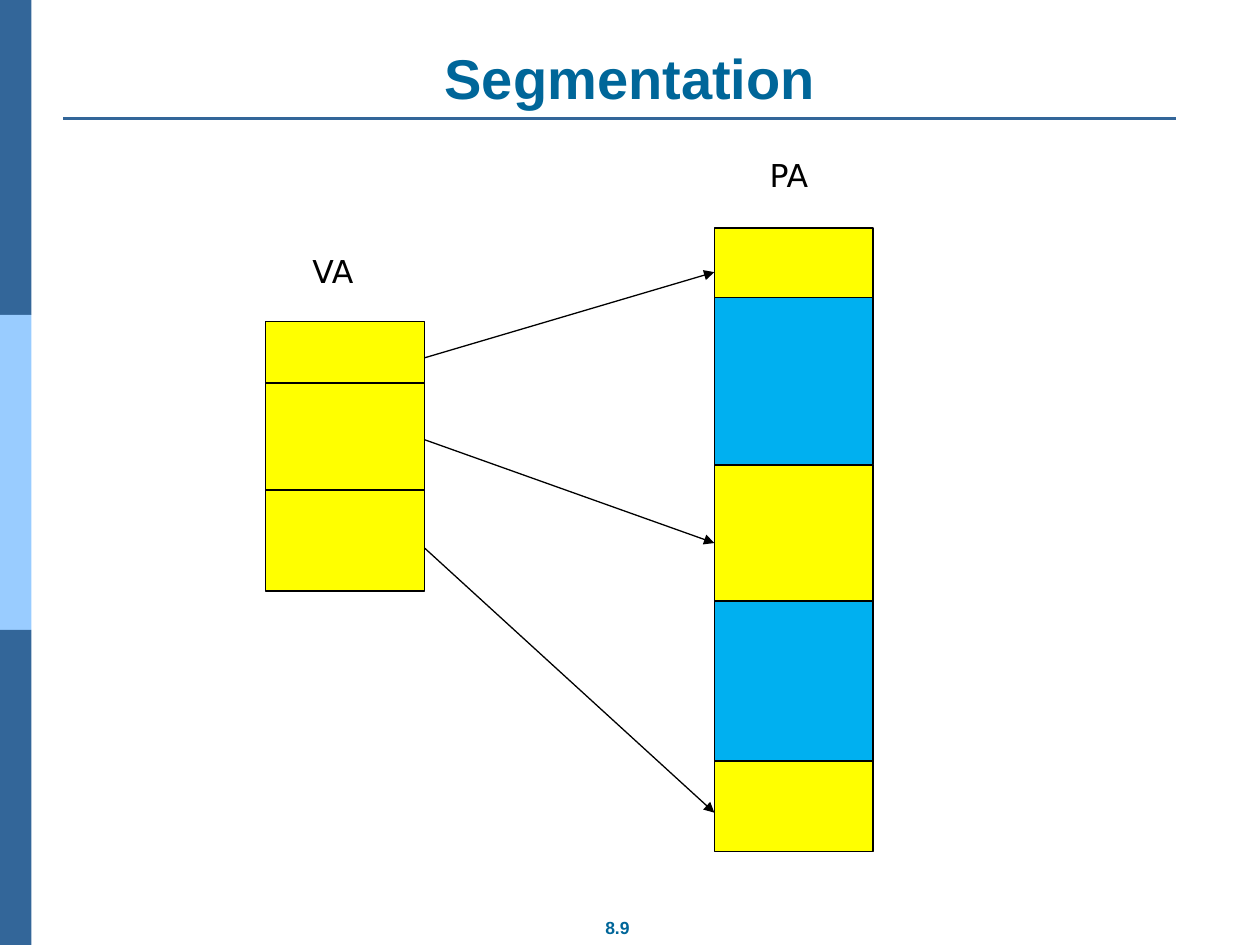
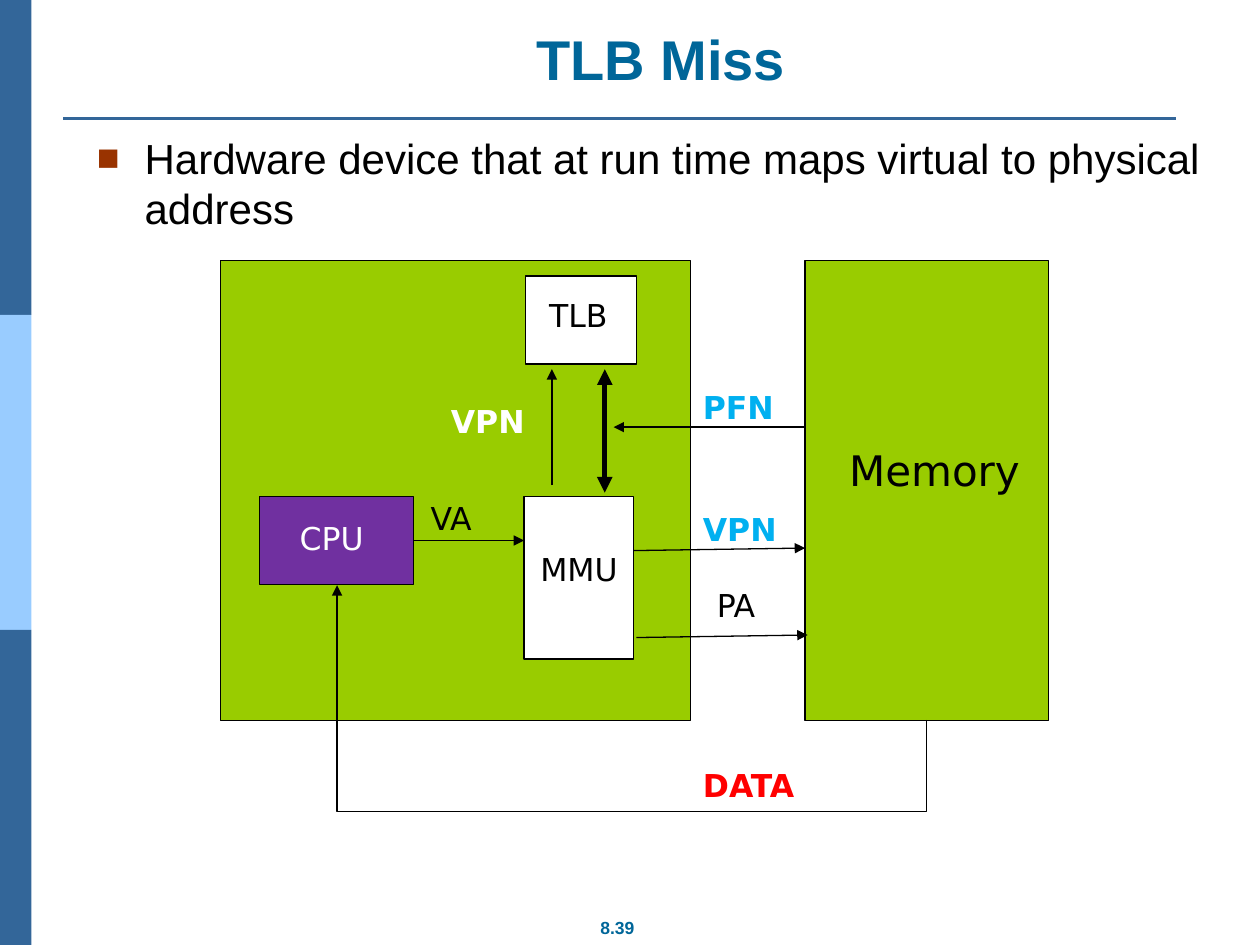
from dataclasses import dataclass

from lxml import etree
from pptx import Presentation
from pptx.dml.color import RGBColor
from pptx.enum.shapes import MSO_CONNECTOR, MSO_SHAPE
from pptx.enum.text import MSO_ANCHOR, MSO_AUTO_SIZE, PP_ALIGN
from pptx.oxml.ns import qn
from pptx.util import Inches, Pt

RECTANGLE = MSO_SHAPE.RECTANGLE
STRAIGHT, ELBOW = MSO_CONNECTOR.STRAIGHT, MSO_CONNECTOR.ELBOW
LEFT, CENTER = PP_ALIGN.LEFT, PP_ALIGN.CENTER
BOTTOM, NO_AUTOFIT = MSO_ANCHOR.BOTTOM, MSO_AUTO_SIZE.NONE
TITLE_ONLY = 5


@dataclass(frozen=True)
class Theme:
    heading_font: str = "Arial"
    label_font: str = "DejaVu Sans"
    title_size: int = 32
    body_size: int = 24
    label_size: int = 18
    footer_size: int = 10
    thin: float = 0.75
    rule: float = 1.5
    thick: float = 3
    title: str = "006699"
    rail: str = "336699"
    rail_light: str = "99CCFF"
    bullet: str = "993300"
    black: str = "000000"
    white: str = "FFFFFF"
    gray: str = "BFBFBF"
    yellow: str = "FFFF00"
    blue: str = "00B0F0"
    green: str = "99CC00"
    purple: str = "7030A0"
    red: str = "FF0000"


theme = Theme()


def add_text(slide, box, text, size, color, bold=False, font=theme.label_font, align=LEFT):
    shape = slide.shapes.add_textbox(*map(Inches, box))
    shape.text_frame.word_wrap = True
    shape.text_frame.text = text
    paragraph = shape.text_frame.paragraphs[0]
    paragraph.alignment = align
    run_font = paragraph.runs[0].font
    run_font.name, run_font.size, run_font.bold = font, Pt(size), bold
    run_font.color.rgb = RGBColor.from_string(color)
    return paragraph


def add_line(slide, points, color=theme.black, width=theme.thin, ends=(), kind=STRAIGHT):
    connector = slide.shapes.add_connector(kind, *map(Inches, points))
    connector.line.color.rgb = RGBColor.from_string(color)
    connector.line.width = Pt(width)
    line_xml = connector.line._get_or_add_ln()
    for end in ends:
        etree.SubElement(line_xml, qn(f"a:{end}"), type="triangle")
    etree.SubElement(connector._element.spPr, qn("a:effectLst"))
    return connector


# Segmentation: address spaces share one column width
COLUMN = 1.26
VIRTUAL_LEFT, PHYSICAL_LEFT = 2.11, 5.67
VIRTUAL_RIGHT = VIRTUAL_LEFT + COLUMN
segmentation_boxes = [
    (PHYSICAL_LEFT, 1.87, COLUMN, 4.88, theme.gray, theme.blue),
    (VIRTUAL_LEFT, 2.55, COLUMN, 2.14, theme.yellow, theme.black),
]
physical_blocks = [
    (2.36, 1.33, theme.blue), (4.74, 1.33, theme.blue),
    (1.81, 0.55, theme.yellow), (3.69, 1.08, theme.yellow), (6.04, 0.72, theme.yellow),
]
for top, height, fill in physical_blocks:
    segmentation_boxes.append((PHYSICAL_LEFT, top, COLUMN, height, fill, theme.black))

segmentation_lines = []
for divider in (3.04, 3.89):
    segmentation_lines.append(((VIRTUAL_LEFT, divider, VIRTUAL_RIGHT, divider), theme.thin, ()))
for start, end in ((2.84, 2.16), (3.49, 4.31), (4.35, 6.45)):
    segmentation_lines.append(
        ((VIRTUAL_RIGHT, start, PHYSICAL_LEFT, end), theme.thin, ("tailEnd",)))

segmentation_labels = [
    ("VA", 2.38, 1.95, theme.label_size, theme.black, False),
    ("PA", 6.01, 1.19, theme.label_size, theme.black, False),
]

# TLB miss: processor, memory and the signals between them
tlb_boxes = [
    (1.75, 2.07, 3.73, 3.65, theme.green, theme.black),
    (2.06, 3.94, 1.22, 0.7, theme.purple, theme.black),
    (4.16, 3.94, 0.87, 1.29, theme.white, theme.black),
    (6.39, 2.07, 1.93, 3.65, theme.green, theme.black),
    (4.17, 2.19, 0.88, 0.7, theme.white, theme.black),
]
tlb_lines = [
    ((3.28, 4.29, 4.16, 4.29), theme.thin, ("tailEnd",)),
    ((5.05, 5.06, 6.41, 5.04), theme.thin, ("tailEnd",)),
    ((4.38, 3.85, 4.38, 2.93), theme.thin, ("tailEnd",)),
    ((5.03, 4.37, 6.39, 4.35), theme.thin, ("tailEnd",)),
    ((6.38, 3.39, 4.87, 3.39), theme.thin, ("tailEnd",)),
    ((4.8, 2.93, 4.8, 3.91), theme.thick, ("headEnd", "tailEnd")),
]
tlb_labels = [
    ("CPU", 2.28, 4.07, theme.label_size, theme.white, False),
    ("MMU", 4.19, 4.32, theme.label_size, theme.black, False),
    ("Memory", 6.64, 3.48, theme.body_size, theme.black, False),
    ("VA", 3.32, 3.91, theme.label_size, theme.black, False),
    ("DATA", 5.48, 6.03, theme.label_size, theme.red, True),
    ("PA", 5.59, 4.6, theme.label_size, theme.black, False),
    ("TLB", 4.26, 2.3, theme.label_size, theme.black, False),
    ("VPN", 3.48, 3.14, theme.label_size, theme.white, True),
    ("VPN", 5.48, 4, theme.label_size, theme.blue, True),
    ("PFN", 5.48, 3.03, theme.label_size, theme.blue, True),
]

pages = [
    ("Segmentation", (0.5, 0.3, 9, 0.63), "8.9",
     segmentation_boxes, segmentation_lines, segmentation_labels),
    ("TLB Miss", (0.96, 0.15, 8.57, 0.63), "8.39", tlb_boxes, tlb_lines, tlb_labels),
]
side_rail = [
    (0, 2.5 * index, 0.25, 2.5, fill, None)
    for index, fill in enumerate((theme.rail, theme.rail_light, theme.rail))
]

presentation = Presentation()
presentation.slide_width, presentation.slide_height = Inches(10), Inches(7.5)

for title_text, title_box, number, boxes, lines, labels in pages:
    slide = presentation.slides.add_slide(presentation.slide_layouts[TITLE_ONLY])

    # Title, rule and footer
    title = slide.shapes.title
    title.left, title.top, title.width, title.height = map(Inches, title_box)
    title.text_frame.text = title_text
    title.text_frame.auto_size = NO_AUTOFIT
    title.text_frame.vertical_anchor = BOTTOM
    paragraph = title.text_frame.paragraphs[0]
    paragraph.alignment = CENTER
    title_font = paragraph.runs[0].font
    title_font.name, title_font.size, title_font.bold = theme.heading_font, Pt(theme.title_size), True
    title_font.color.rgb = RGBColor.from_string(theme.title)
    add_line(slide, (0.5, 0.94, 9.33, 0.94), theme.rail, theme.rule)
    add_text(slide, (4.41, 7.23, 0.98, 0.27), number, theme.footer_size, theme.title,
             True, theme.heading_font, CENTER)

    # Side rail and diagram
    for left, top, width, height, fill, outline in side_rail + boxes:
        shape = slide.shapes.add_shape(RECTANGLE, *map(Inches, (left, top, width, height)))
        shape.shadow.inherit = False
        shape.fill.solid()
        shape.fill.fore_color.rgb = RGBColor.from_string(fill)
        if outline:
            shape.line.color.rgb = RGBColor.from_string(outline)
            shape.line.width = Pt(theme.thin)
        else:
            shape.line.fill.background()
    for points, width, ends in lines:
        add_line(slide, points, width=width, ends=ends)
    for text, left, top, size, color, bold in labels:
        box_width, box_height = (1.78, 0.5) if size == theme.body_size else (1.22, 0.4)
        add_text(slide, (left, top, box_width, box_height), text, size, color, bold)

# Data path from memory back to the CPU, on the last slide
data_path = add_line(slide, (4.48, 7.52, 5.55, 2.84), ends=("tailEnd",), kind=ELBOW)
data_path._element.spPr.find(qn("a:xfrm")).set("rot", str(270 * 60000))
adjustments = data_path._element.spPr.find(qn("a:prstGeom")).get_or_add_avLst()
etree.SubElement(adjustments, qn("a:gd"), name="adj1", fmla="val -67800")

# Bulleted statement
statement = add_text(
    slide, (0.67, 1, 9.33, 0.9),
    "Hardware device that at run time maps virtual to physical address",
    theme.body_size, theme.black, font=theme.heading_font)
properties = statement._p.get_or_add_pPr()
properties.set("marL", str(Inches(0.38)))
properties.set("indent", str(-Inches(0.38)))
bullet_color = etree.SubElement(properties, qn("a:buClr"))
etree.SubElement(bullet_color, qn("a:srgbClr"), val=theme.bullet)
etree.SubElement(properties, qn("a:buSzPct"), val="90000")
etree.SubElement(properties, qn("a:buFont"), typeface=theme.heading_font)
etree.SubElement(properties, qn("a:buChar"), char="■")

presentation.save("out.pptx")
